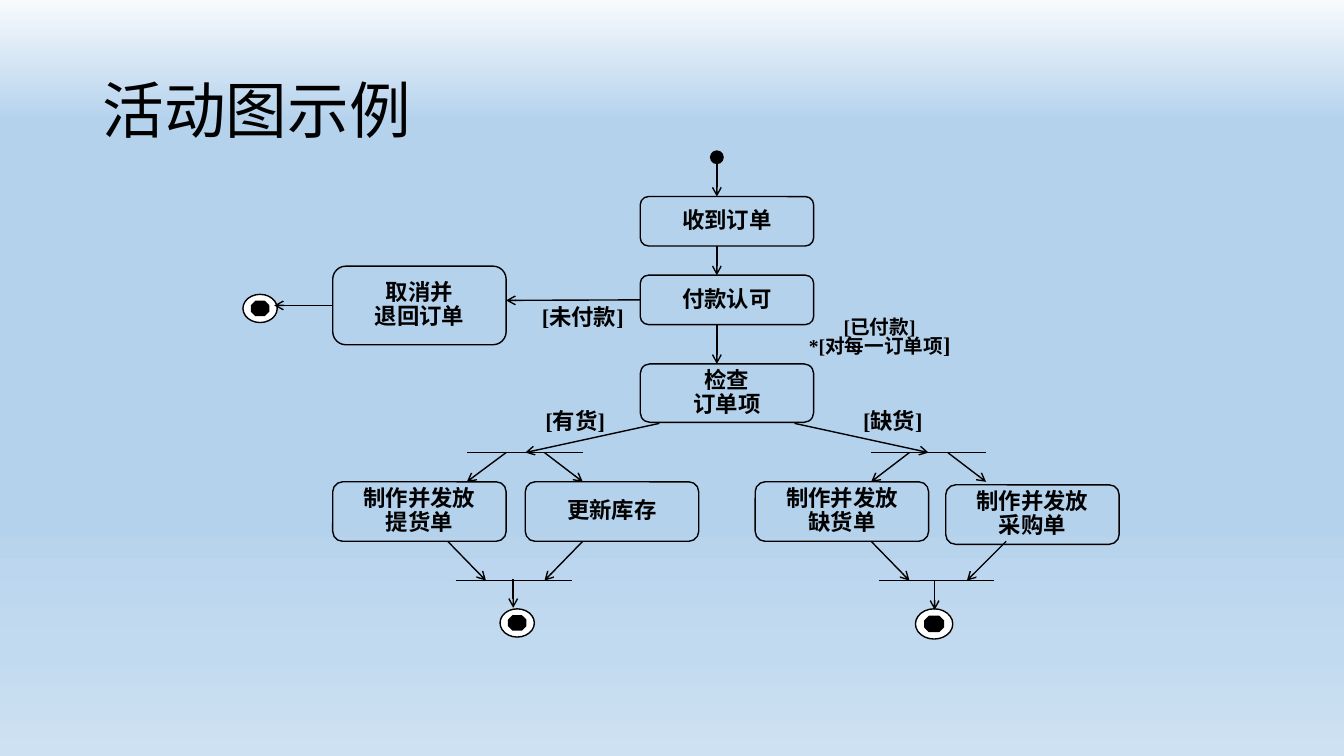
"""Build a slide with an activity diagram for order handling."""
from lxml import etree
from pptx import Presentation
from pptx.dml.color import RGBColor
from pptx.enum.shapes import MSO_CONNECTOR, MSO_SHAPE
from pptx.enum.text import MSO_ANCHOR, PP_ALIGN
from pptx.oxml.ns import qn
from pptx.util import Inches, Pt

ROUND, OVAL, OCTAGON = MSO_SHAPE.ROUNDED_RECTANGLE, MSO_SHAPE.OVAL, MSO_SHAPE.OCTAGON
STRAIGHT = MSO_CONNECTOR.STRAIGHT
MIDDLE = MSO_ANCHOR.MIDDLE
LEFT, CENTER = PP_ALIGN.LEFT, PP_ALIGN.CENTER
BLACK, WHITE = "000000", "FFFFFF"
SERIF = "Times New Roman"
color = RGBColor.from_string


def write(shape, text, size, space, font=SERIF, bold=True, align=CENTER):
    frame = shape.text_frame
    frame.word_wrap = True
    frame.vertical_anchor = MIDDLE
    frame.text = text
    for para in frame.paragraphs:
        para.alignment = align
        para.line_spacing = space
        for run in para.runs:
            run.font.name = font
            run.font.size = Pt(size)
            run.font.bold = bold
            run.font.color.rgb = color(BLACK)


def draw(kind, left, top, width, height, fill=None):
    shape = slide.shapes.add_shape(kind, Inches(left), Inches(top), Inches(width), Inches(height))
    shape.shadow.inherit = False
    if fill:
        shape.fill.solid()
        shape.fill.fore_color.rgb = color(fill)
    else:
        shape.fill.background()
    shape.line.color.rgb = color(BLACK)
    shape.line.width = Pt(1)
    return shape


deck = Presentation()
deck.slide_width, deck.slide_height = Inches(13.33), Inches(7.5)
slide = deck.slides.add_slide(deck.slide_layouts[6])

back = slide.background.fill
back.gradient()
back.gradient_angle = 270
stops = slide.element.find(".//" + qn("a:gsLst"))
for stop in list(stops):
    stops.remove(stop)
for place, shade in [(0, "F7FAFD"), (16, "B5D2EC"), (71, "B8D4ED"), (86, "C2DAEF"), (100, "CEE1F2")]:
    stop = etree.SubElement(stops, qn("a:gs"), pos=str(place * 1000))
    etree.SubElement(stop, qn("a:srgbClr"), val=shade)

title = slide.shapes.add_textbox(Inches(0.92), Inches(0.4), Inches(11.5), Inches(1.45))
write(title, "活动图示例", 44, 0.9, "Calibri", False, LEFT)

labels = [
    ("[未付款]", 5.21, 3.03, 1.14, 0.29, 16),
    ("[有货]", 5.23, 4.06, 0.95, 0.29, 16),
    ("[缺货]", 8.38, 4.06, 0.95, 0.29, 16),
    ("[已付款]\n*[对每一订单项]", 7.77, 3.12, 1.91, 0.49, 14),
]
for text, left, top, width, height, size in labels:
    label = slide.shapes.add_textbox(Inches(left), Inches(top), Inches(width), Inches(height))
    write(label, text, size, 0.72)

last = label.text_frame.paragraphs[1]
last.runs[0].text = "*[对每一订单项"
end = last.add_run()
end.text = "]"
end.font.name = SERIF
end.font.size = Pt(16)
end.font.bold = True
end.font.color.rgb = color(BLACK)

steps = [
    ("取消并\n退回订单", 3.3, 2.64, 0.78),
    ("收到订单", 6.35, 1.95, 0.49),
    ("付款认可", 6.35, 2.73, 0.49),
    ("检查\n订单项", 6.35, 3.61, 0.58),
    ("制作并发放\n提货单", 3.3, 4.78, 0.59),
    ("更新库存", 5.21, 4.78, 0.59),
    ("制作并发放\n缺货单", 7.49, 4.78, 0.59),
    ("制作并发放\n采购单", 9.38, 4.81, 0.59),
]
boxes = {}
for text, left, top, height in steps:
    box = draw(ROUND, left, top, 1.72, height)
    write(box, text, 16, 0.9)
    boxes[text] = box

for left, top, width, height in [(2.41, 2.92, 0.34, 0.28), (4.96, 6.04, 0.34, 0.28), (9.08, 6.04, 0.37, 0.3)]:
    draw(OVAL, left, top, width, height, WHITE)
    draw(OCTAGON, left + width / 4, top + height / 4, width / 2, height / 2, BLACK)

bars = [(4.63, 4.49, 5.78, 4.49), (4.52, 5.76, 5.67, 5.76),
        (8.64, 4.49, 9.78, 4.49), (8.72, 5.76, 9.86, 5.76)]
start = (7.11, 1.56, 7.11, 1.95)
reject = (6.35, 2.98, 5.02, 2.98)
cancel = (3.3, 3.03, 2.72, 3.03)
flows = [
    start, reject, cancel,
    (7.11, 2.44, 7.11, 2.73), (7.11, 3.22, 7.11, 3.61),
    (6.54, 4.2, 5.21, 4.49), (7.88, 4.2, 9.21, 4.49),
    (5.02, 4.49, 4.63, 4.78), (5.4, 4.49, 5.78, 4.78),
    (9.02, 4.49, 8.64, 4.78), (9.4, 4.49, 9.78, 4.78),
    (4.44, 5.37, 4.82, 5.76), (5.78, 5.37, 5.4, 5.76),
    (8.64, 5.37, 9.02, 5.76), (9.98, 5.37, 9.59, 5.76),
    (5.09, 5.74, 5.09, 6.03), (9.27, 5.76, 9.27, 6.05),
]
for ends in bars + flows:
    link = slide.shapes.add_connector(STRAIGHT, *[Inches(n) for n in ends])
    link.line.color.rgb = color(BLACK)
    link.line.width = Pt(1)
    props = link.line._get_or_add_ln()
    if ends == start:
        etree.SubElement(props, qn("a:headEnd"), type="oval", w="lg", len="lg")
    if ends in flows:
        etree.SubElement(props, qn("a:tailEnd"), type="arrow")
    etree.SubElement(link.element.spPr, qn("a:effectLst"))
    if ends == reject:
        link.begin_connect(boxes["付款认可"], 1)
    if ends == cancel:
        link.begin_connect(boxes["取消并\n退回订单"], 1)

deck.save("out.pptx")
